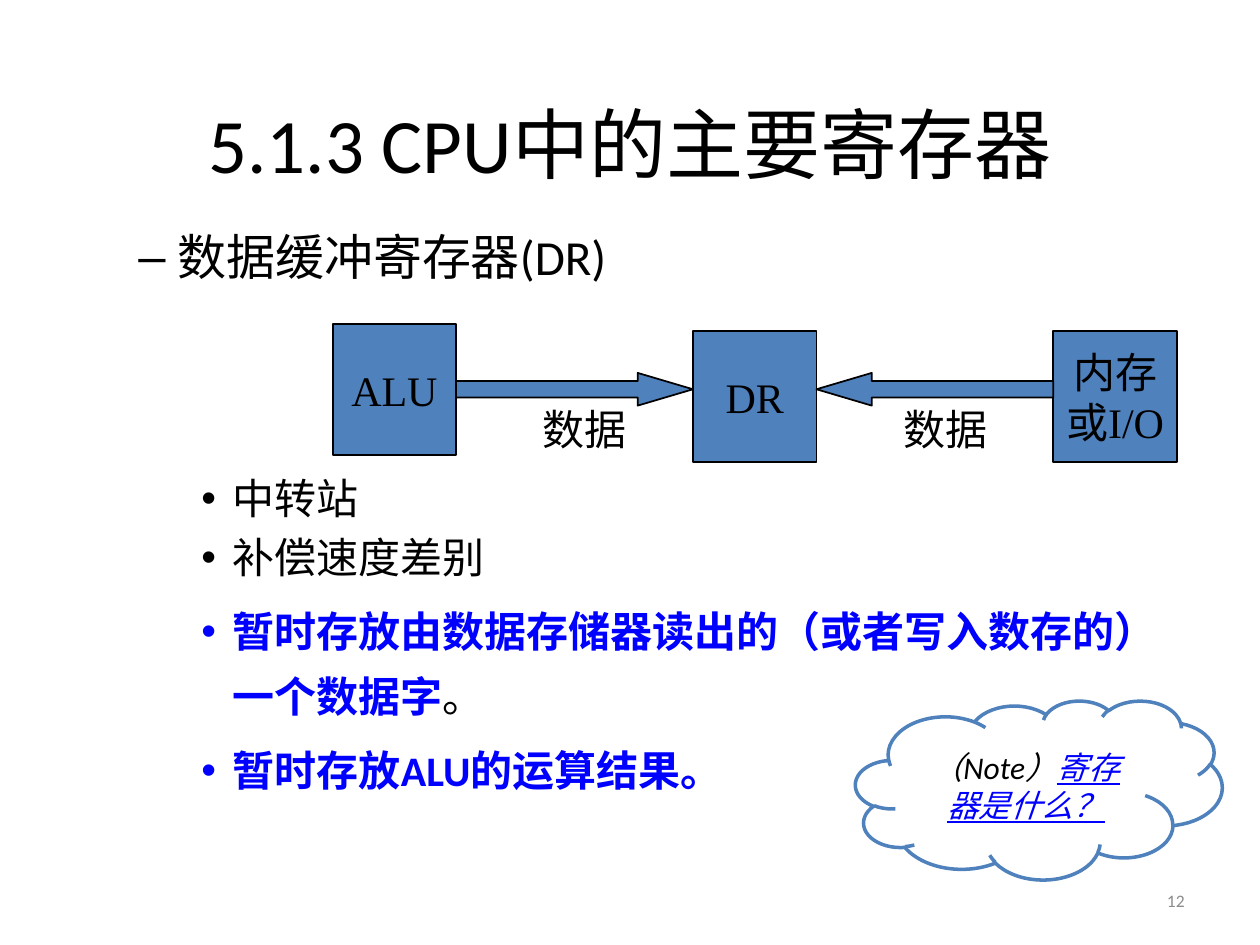
from lxml import etree
from pptx import Presentation
from pptx import util as u
from pptx.dml.color import RGBColor
from pptx.enum import shapes, text
from pptx.oxml.ns import qn

BLACK = RGBColor(0x00, 0x00, 0x00)
WHITE = RGBColor(0xFF, 0xFF, 0xFF)
BLUE = RGBColor(0x00, 0x00, 0xFF)
STEEL = RGBColor(0x4F, 0x81, 0xBD)
GREY = RGBColor(0x8C, 0x8C, 0x8C)
SANS, SERIF = "Calibri", "Times New Roman"
CENTER, LEFT, RIGHT = text.PP_ALIGN.CENTER, text.PP_ALIGN.LEFT, text.PP_ALIGN.RIGHT
MIDDLE, TOP, BOTTOM = text.MSO_ANCHOR.MIDDLE, text.MSO_ANCHOR.TOP, text.MSO_ANCHOR.BOTTOM


def write(paragraph, words, size=24, font=SANS, color=BLACK, align=LEFT,
          bold=False, italic=False, underline=False):
    paragraph.alignment = align
    run = paragraph.add_run()
    run.text = words
    run.font.size = u.Pt(size)
    run.font.name = font
    run.font.color.rgb = color
    run.font.bold = bold
    run.font.italic = italic
    run.font.underline = underline


def set_frame(frame, anchor=TOP, wrap=True):
    frame.vertical_anchor = anchor
    frame.word_wrap = wrap
    return frame


def add_frame(slide, box, anchor=TOP, wrap=True):
    place = [u.Inches(side) for side in box]
    return set_frame(slide.shapes.add_textbox(*place).text_frame, anchor, wrap)


def add_figure(slide, preset, box, fill=STEEL, line=BLACK, width=1):
    figure = slide.shapes.add_shape(preset, *[u.Inches(side) for side in box])
    figure.shadow.inherit = False
    figure.fill.solid()
    figure.fill.fore_color.rgb = fill
    figure.line.color.rgb = line
    figure.line.width = u.Pt(width)
    return figure


def set_bullet(paragraph, mark, margin, hanging):
    props = paragraph._p.get_or_add_pPr()
    props.set("marL", str(u.Inches(margin)))
    props.set("indent", str(-u.Inches(hanging)))
    etree.SubElement(props, qn("a:buFont")).set("typeface", "Arial")
    etree.SubElement(props, qn("a:buChar")).set("char", mark)


def place_title(slide, box):
    title = slide.shapes.title
    title.left, title.top, title.width, title.height = [u.Inches(side) for side in box]
    frame = set_frame(title.text_frame, BOTTOM)
    write(frame.paragraphs[0], "5.1.3 CPU中的主要寄存器", size=44, align=CENTER)


def place_points(slide, box):
    frame = add_frame(slide, box)
    heading = frame.paragraphs[0]
    heading.space_before = u.Pt(5.6)
    write(heading, "数据缓冲寄存器(DR)", size=28)
    set_bullet(heading, "–", 0.81, 0.31)

    emphasis = {"color": BLUE, "bold": True}
    diagram_gap, point_gap = 107, 4.8
    points = [
        ([("中转站", {})], diagram_gap, 1),
        ([("补偿速度差别", {})], point_gap, 1),
        ([("暂时存放由数据存储器读出的（或者写入数存的）一个数据字", emphasis), ("。", {})],
         point_gap, 1.3),
        ([("暂时存放ALU的运算结果。", emphasis)], point_gap, 1.3),
    ]
    for runs, gap, spacing in points:
        point = frame.add_paragraph()
        point.level = 2
        point.space_before = u.Pt(gap)
        point.line_spacing = spacing
        for words, style in runs:
            write(point, words, **style)
        set_bullet(point, "•", 1.25, 0.25)


def place_data_flow(slide, box):
    left, top, width, height = box
    unit_width, unit_height = 0.98, 1.04
    step = (width - unit_width) / 2
    units = [(["ALU"], top), (["DR"], top + height - unit_height),
             (["内存", "或I/O"], top + height - unit_height)]
    for column, (lines, unit_top) in enumerate(units):
        unit = add_figure(slide, shapes.MSO_SHAPE.RECTANGLE,
                          (left + column * step, unit_top, unit_width, unit_height))
        frame = set_frame(unit.text_frame, MIDDLE, wrap=False)
        for index, line in enumerate(lines):
            paragraph = frame.add_paragraph() if index else frame.paragraphs[0]
            write(paragraph, line, font=SERIF, align=CENTER)

    for column, preset in enumerate((shapes.MSO_SHAPE.RIGHT_ARROW,
                                     shapes.MSO_SHAPE.LEFT_ARROW)):
        start = left + column * step
        arrow = add_figure(slide, preset,
                           (start + unit_width, top + 0.39, step - unit_width, 0.26))
        arrow.adjustments[0] = 0.5
        arrow.adjustments[1] = 1.69
        label = add_frame(slide, (start + 1.57, top + 0.58, 0.87, 0.5), wrap=False)
        write(label.paragraphs[0], "数据", font=SERIF)


def place_note(slide, box):
    cloud = add_figure(slide, shapes.MSO_SHAPE.CLOUD, box, WHITE, STEEL, 2)
    note = set_frame(cloud.text_frame, MIDDLE).paragraphs[0]
    write(note, "（Note）", size=18, align=CENTER, italic=True)
    write(note, "寄存器是什么？", size=18, color=BLUE, align=CENTER,
          italic=True, underline=True)


def place_page_number(slide, box):
    frame = add_frame(slide, box, MIDDLE)
    write(frame.paragraphs[0], "12", size=10, color=GREY, align=RIGHT)


def main():
    deck = Presentation()
    deck.slide_width, deck.slide_height = u.Inches(10), u.Inches(7.5)
    slide = deck.slides.add_slide(deck.slide_layouts[5])
    place_title(slide, (0.5, 0.3, 9, 1.25))
    place_points(slide, (0.5, 1.75, 9, 4.95))
    place_page_number(slide, (7.17, 6.95, 2.33, 0.4))
    place_data_flow(slide, (2.64, 2.57, 6.7, 1.1))
    place_note(slide, (6.79, 5.56, 2.91, 1.42))
    deck.save("out.pptx")


if __name__ == "__main__":
    main()
